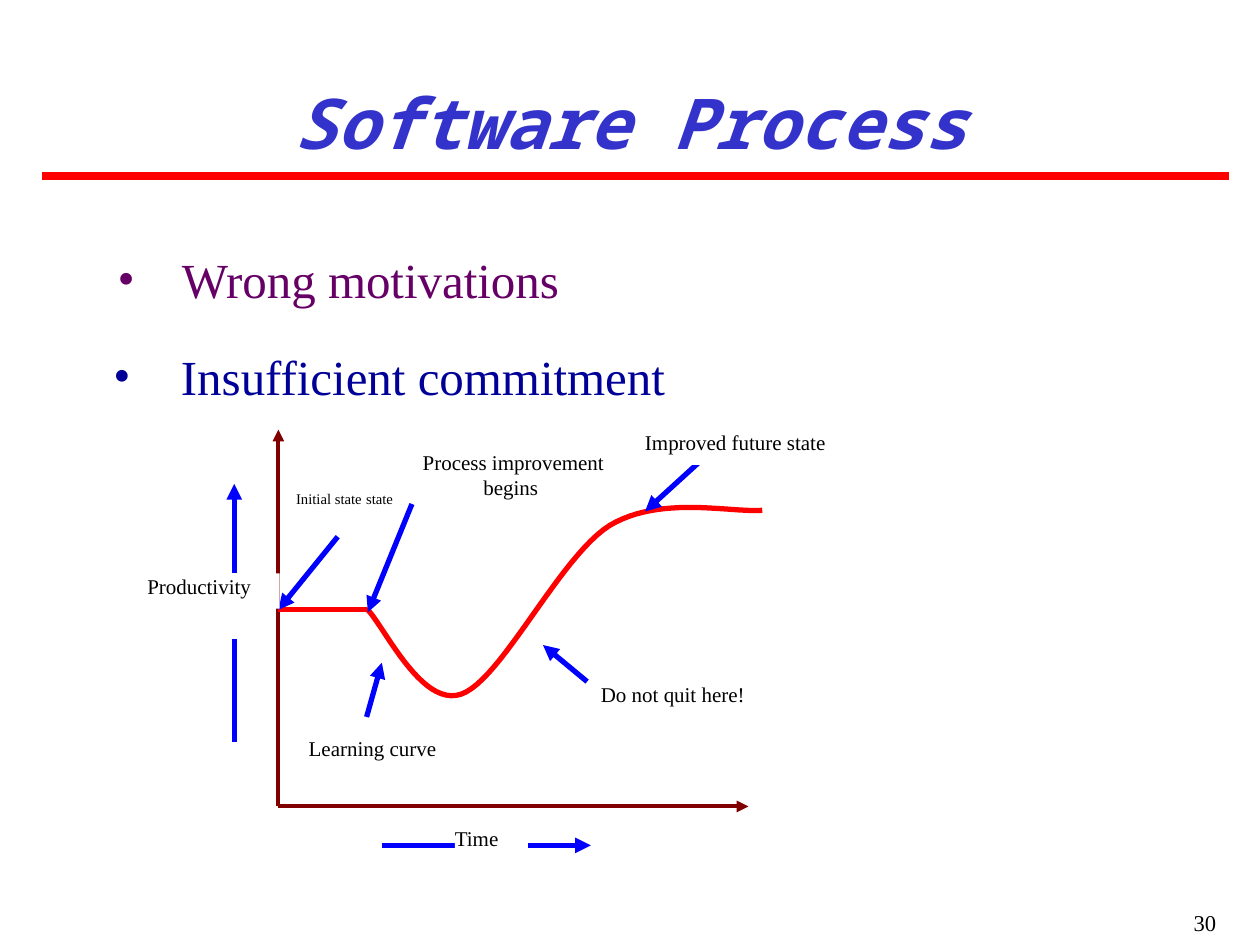
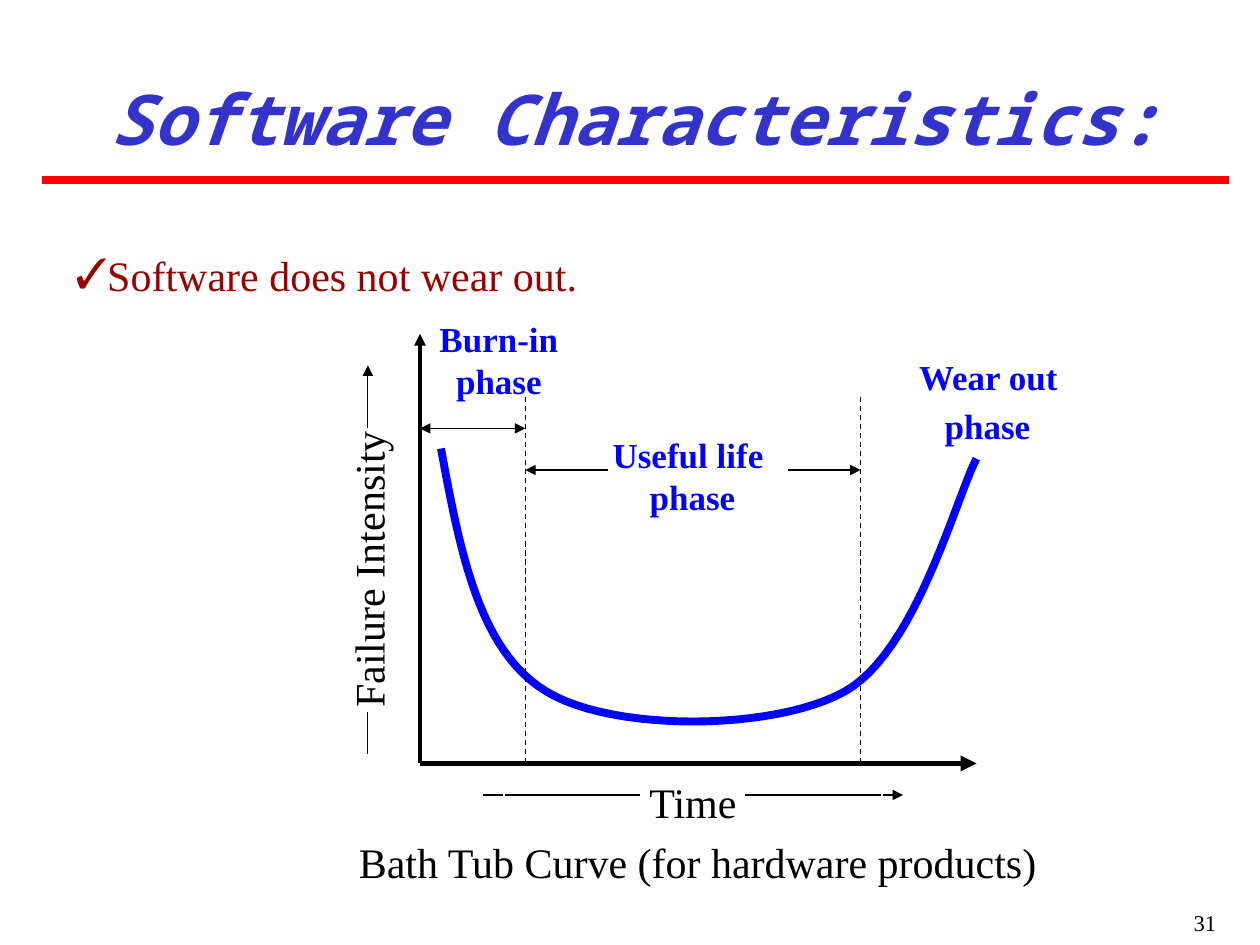
from dataclasses import dataclass

import lxml.etree
import pptx
import pptx.dml.color
import pptx.enum.dml
import pptx.enum.shapes
import pptx.enum.text
import pptx.oxml.ns
import pptx.util

Pt = pptx.util.Pt
RGBColor = pptx.dml.color.RGBColor
Align = pptx.enum.text.PP_ALIGN
Anchor = pptx.enum.text.MSO_ANCHOR
qn = pptx.oxml.ns.qn

# Shared colours and fonts
BLACK = RGBColor(0x00, 0x00, 0x00)
WHITE = RGBColor(0xFF, 0xFF, 0xFF)
RED = RGBColor(0xFF, 0x00, 0x00)
BLUE = RGBColor(0x00, 0x00, 0xFF)
MAROON = RGBColor(0x80, 0x00, 0x00)
TITLE_BLUE = RGBColor(0x33, 0x33, 0xCC)
PURPLE = RGBColor(0x66, 0x00, 0x66)
NAVY = RGBColor(0x00, 0x00, 0x99)
BRICK = RGBColor(0x99, 0x00, 0x00)
TITLE_FONT = "Noto Sans Mono"
TEXT_FONT = "Times New Roman"

CURVE_STEPS = 24


@dataclass(frozen=True)
class Span:
    text: str
    size: float
    color: RGBColor = BLACK
    bold: bool = False


@dataclass(frozen=True)
class Frame:
    left: float
    top: float
    width: float
    height: float

    def lengths(self) -> tuple:
        return Pt(self.left), Pt(self.top), Pt(self.width), Pt(self.height)


@dataclass(frozen=True)
class Stroke:
    start: tuple[float, float]
    end: tuple[float, float]
    color: RGBColor = BLACK
    width: float = 0.75
    arrow: bool = True
    both: bool = False
    dashed: bool = False


@dataclass(frozen=True)
class Label:
    frame: Frame
    lines: list[list[Span]]
    centered: bool = False


@dataclass(frozen=True)
class Bullet:
    span: Span
    mark: str
    margin: float = 0
    indent: float = 0
    before: float = 0


# Text helpers
def add_span(para, span: Span, font: str = TEXT_FONT):
    run = para.add_run()
    run.text = span.text
    run.font.name = font
    run.font.size = Pt(span.size)
    run.font.bold = span.bold
    run.font.color.rgb = span.color
    return run


def fill_lines(text_frame, lines: list[list[Span]], align) -> None:
    for index, spans in enumerate(lines):
        para = text_frame.add_paragraph() if index else text_frame.paragraphs[0]
        para.alignment = align
        for span in spans:
            add_span(para, span)


def place(box, frame: Frame) -> None:
    box.left, box.top, box.width, box.height = frame.lengths()
    box.text_frame.auto_size = pptx.enum.text.MSO_AUTO_SIZE.NONE


def add_bullet(para, bullet: Bullet) -> None:
    para.line_spacing = 1.0
    para.space_before = Pt(bullet.before)
    properties = para._p.get_or_add_pPr()
    properties.set("marL", str(Pt(bullet.margin)))
    properties.set("indent", str(Pt(bullet.indent)))
    color = lxml.etree.SubElement(properties, qn("a:buClr"))
    lxml.etree.SubElement(color, qn("a:srgbClr"), val=str(bullet.span.color))
    lxml.etree.SubElement(properties, qn("a:buFont"), typeface=TEXT_FONT)
    lxml.etree.SubElement(properties, qn("a:buChar"), char=bullet.mark)
    add_span(para, bullet.span)


# Drawing helpers
def draw_stroke(page, stroke: Stroke) -> None:
    line = page.shapes.add_connector(
        pptx.enum.shapes.MSO_CONNECTOR.STRAIGHT,
        *(Pt(value) for value in stroke.start + stroke.end))
    line.line.color.rgb = stroke.color
    line.line.width = Pt(stroke.width)
    if stroke.dashed:
        line.line.dash_style = pptx.enum.dml.MSO_LINE.DASH
    properties = line.element.spPr
    outline = properties.find(qn("a:ln"))
    if stroke.both:
        lxml.etree.SubElement(outline, qn("a:headEnd"), type="triangle")
    if stroke.arrow:
        lxml.etree.SubElement(outline, qn("a:tailEnd"), type="triangle")
    lxml.etree.SubElement(properties, qn("a:effectLst"))


def bezier_point(controls: list, t: float) -> tuple[float, float]:
    weights = ((1 - t) ** 3, 3 * t * (1 - t) ** 2, 3 * t ** 2 * (1 - t), t ** 3)
    return tuple(sum(weight * point[axis] for weight, point in zip(weights, controls))
                 for axis in (0, 1))


def draw_curve(page, controls: list, color: RGBColor, width: float) -> None:
    points = [bezier_point(controls[first:first + 4], step / CURVE_STEPS)
              for first in range(0, len(controls) - 1, 3)
              for step in range(1, CURVE_STEPS + 1)]
    builder = page.shapes.build_freeform(
        Pt(controls[0][0]), Pt(controls[0][1]), scale=1.0)
    builder.add_line_segments([(Pt(x), Pt(y)) for x, y in points], close=False)
    curve = builder.convert_to_shape()
    curve.shadow.inherit = False
    curve.fill.background()
    curve.line.color.rgb = color
    curve.line.width = Pt(width)


def add_rectangle(page, label: Label):
    box = page.shapes.add_shape(
        pptx.enum.shapes.MSO_SHAPE.RECTANGLE, *label.frame.lengths())
    box.shadow.inherit = False
    fill_lines(box.text_frame, label.lines,
               Align.CENTER if label.centered else Align.LEFT)
    return box


def draw_patch_label(page, label: Label) -> None:
    """White box that hides what lies behind its text."""
    box = add_rectangle(page, label)
    box.fill.solid()
    box.fill.fore_color.rgb = WHITE
    box.line.fill.background()
    text = box.text_frame
    text.word_wrap = True
    text.vertical_anchor = Anchor.TOP
    text.margin_left = text.margin_right = text.margin_top = text.margin_bottom = 0


def draw_open_label(page, label: Label, rotation: float = 0) -> None:
    """Unfilled box whose text may run past its edges."""
    box = add_rectangle(page, label)
    box.rotation = rotation
    box.fill.background()
    box.line.color.rgb = WHITE
    box.line.width = Pt(0.75)
    box.text_frame.word_wrap = False
    box.text_frame.vertical_anchor = Anchor.MIDDLE


def add_text(page, frame: Frame, span: Span, align=Align.LEFT) -> None:
    box = page.shapes.add_textbox(*frame.lengths())
    box.text_frame.word_wrap = True
    fill_lines(box.text_frame, [[span]], align)


# Title, rule, bullets and page number shared by the slides
def add_page(deck, title: str, title_frame: Frame, rule_y: float,
             body_frame: Frame, bullets: list[Bullet], number: int):
    page = deck.slides.add_slide(deck.slide_layouts[1])
    heading, body = page.shapes.title, page.placeholders[1]
    place(heading, title_frame)
    heading.text_frame.vertical_anchor = Anchor.MIDDLE
    para = heading.text_frame.paragraphs[0]
    para.alignment = Align.CENTER
    add_span(para, Span(title, 40, TITLE_BLUE, True), TITLE_FONT).font.italic = True

    place(body, body_frame)
    body.text_frame.vertical_anchor = Anchor.TOP
    for index, bullet in enumerate(bullets):
        para = body.text_frame.add_paragraph() if index else body.text_frame.paragraphs[0]
        add_bullet(para, bullet)

    draw_stroke(page, Stroke((24, rule_y), (702, rule_y), RED, 4.5, arrow=False))
    add_text(page, Frame(552, 516, 150, 24), Span(str(number), 12.9), Align.RIGHT)
    return page


def build_process(deck) -> None:
    page = add_page(
        deck, "Software Process", Frame(24, 42, 672, 55), 100.8,
        Frame(24, 139, 540, 95),
        [Bullet(Span("Wrong motivations", 28, PURPLE), "•", 72.7, -36.7),
         Bullet(Span("Insufficient commitment", 28, NAVY), "•", 72.2, -38.6, 21.8)],
        30)

    # Axes and productivity curve
    origin, plateau = (159.1, 460.8), 348.5
    draw_stroke(page, Stroke(origin, (159.1, 245.5), MAROON, 2.25))
    draw_stroke(page, Stroke(origin, (427.7, 460.8), MAROON, 2.25))
    draw_stroke(page, Stroke((159.1, plateau), (209.5, plateau), RED, 3, arrow=False))
    draw_curve(page, [
        (209.5, 347.8), (218.9, 356.4), (240.5, 404.6), (263.5, 396.7),
        (286.6, 388.8), (319.7, 318.2), (348.5, 300.2),
        (377.3, 283), (417.6, 293), (435.6, 291.6)], RED, 3)

    # Pointers and axis direction marks
    for start, end, arrow in (
            ((209.5, 409.7), (218.2, 378.7), True),
            ((133.9, 424.1), (133.9, 365), False),
            ((133.9, 327.6), (133.9, 276.5), True),
            ((193, 306.7), (159.1, plateau), True),
            ((235.4, 288), (210.2, 349.9), True),
            ((335.5, 389.5), (310.3, 368.6), True),
            ((402.5, 261.4), (368.6, 292.3), True),
            ((218.2, 483.1), (259.9, 483.1), False),
            ((295.9, 483.1), (337.7, 483.1), True)):
        draw_stroke(page, Stroke(start, end, BLUE, 3, arrow))

    # Labels
    for text, frame in (
            ("Learning curve", Frame(176.4, 420.5, 92.2, 20.2)),
            ("Do not quit here!", Frame(343.4, 389.5, 125.3, 20.2)),
            ("Improved future state", Frame(368.6, 245.5, 117.4, 20.2)),
            ("Productivity", Frame(84.2, 327.6, 75.6, 20.2)),
            ("Time", Frame(259.9, 471.6, 41.8, 20.2))):
        draw_patch_label(page, Label(frame, [[Span(text, 12)]]))
    draw_patch_label(page, Label(
        Frame(239, 257, 108.7, 41),
        [[Span("Process improvement begins ", 12)]], centered=True))
    draw_patch_label(page, Label(
        Frame(169.2, 278.6, 58.3, 20.9),
        [[Span("Initial state", 8.4), Span(" ", 9.8), Span("state", 8.4)]]))


def build_characteristics(deck) -> None:
    page = add_page(
        deck, "Software Characteristics:", Frame(42, 39.6, 642, 55), 103,
        Frame(36, 139, 642, 36),
        [Bullet(Span("Software does not wear out.", 24, BRICK), "✓")], 31)

    # Axes, bath tub curve and phase limits
    axis_x, axis_y, burn_in_end, wear_out_start = 240, 436.3, 300.2, 491.8
    draw_stroke(page, Stroke((axis_x, axis_y), (axis_x, 190.8), width=2.25))
    draw_stroke(page, Stroke((axis_x, axis_y), (558, axis_y), width=3))
    draw_curve(page, [
        (252, 256.3), (262.8, 314.6), (273.6, 372.2), (312.5, 395.3),
        (350.6, 418.3), (442.1, 417.6), (482.4, 395.3),
        (523.4, 373), (546.5, 283.7), (558, 262.1)], BLUE, 4.5)
    for x in (burn_in_end, wear_out_start):
        draw_stroke(page, Stroke((x, 226.8), (x, axis_y), arrow=False, dashed=True))

    # Phase spans and axis direction marks
    for stroke in (
            Stroke((axis_x, 244.8), (burn_in_end, 244.8), both=True),
            Stroke((450, 268.6), (wear_out_start, 268.6)),
            Stroke((347.8, 268.6), (burn_in_end, 268.6)),
            Stroke((276, 454.3), (366, 454.3), arrow=False),
            Stroke((426, 454.3), (516, 454.3)),
            Stroke((210.2, 244.8), (210.2, 208.8)),
            Stroke((210.2, 406.8), (210.2, 430.6), arrow=False)):
        draw_stroke(page, stroke)

    # Phase names, axis names and caption
    phase = Span("phase", 20, BLUE, True)
    for name, frame, tail in (
            ("Useful life ", Frame(347.8, 250.6, 95.8, 41.8), []),
            ("Wear out ", Frame(516.2, 208.8, 102.2, 41.8), [Span(" ", 24, BLACK, True)]),
            ("Burn-in", Frame(270, 184.3, 30.2, 41.8), [])):
        lines = [[Span(name, 20, BLUE, True)], [phase, *tail]]
        draw_open_label(page, Label(frame, lines, centered=True))
    for name, frame, rotation in (
            ("Failure Intensity", Frame(195.1, 307.4, 30.2, 36), 270),
            ("Time", Frame(288, 442.8, 216, 30.2), 0)):
        draw_open_label(page, Label(frame, [[Span(name, 24)]], centered=True), rotation)
    add_text(page, Frame(198, 474.5, 450, 36),
             Span("Bath Tub Curve (for hardware products)", 24))


def main() -> None:
    deck = pptx.Presentation()
    deck.slide_width, deck.slide_height = Pt(720), Pt(540)
    build_process(deck)
    build_characteristics(deck)
    deck.save("out.pptx")


if __name__ == "__main__":
    main()
